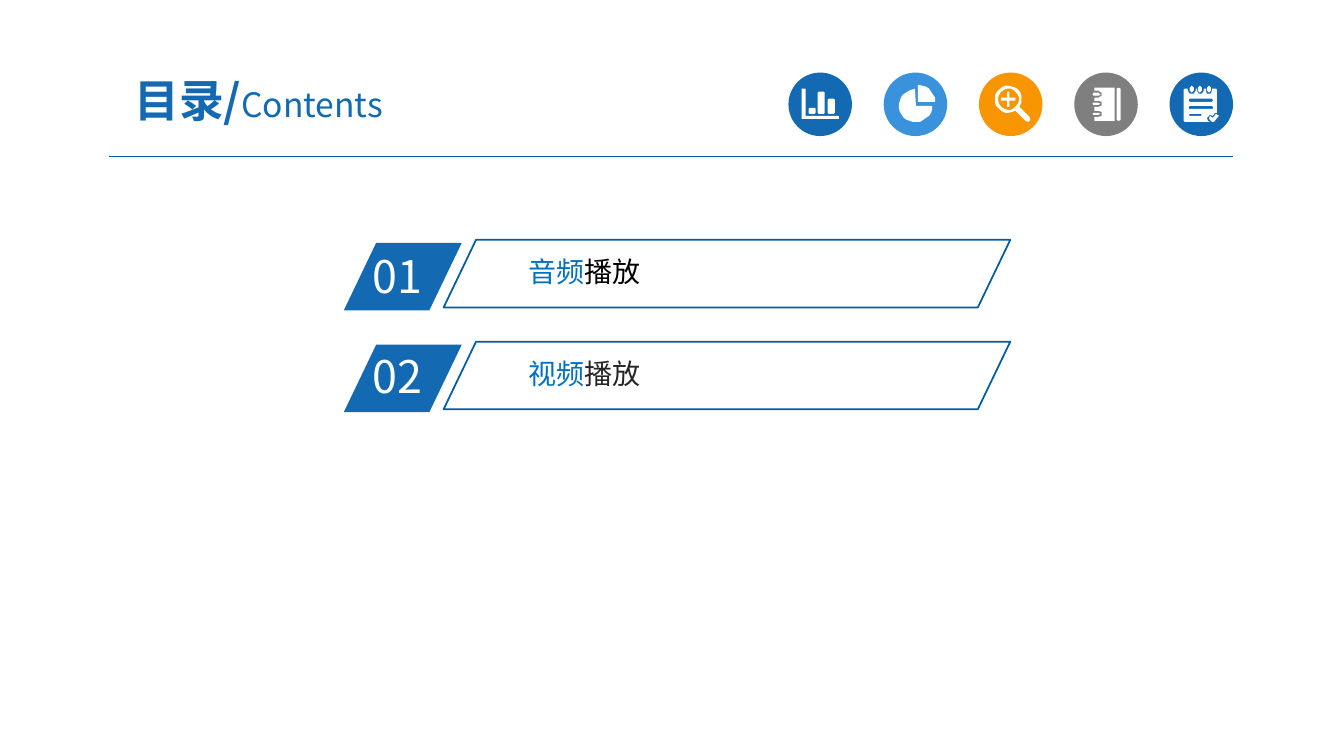
"""Build the contents slide with its icon header and two numbered entries."""
import math
from dataclasses import dataclass

import lxml.etree
import pptx
import pptx.dml.color
import pptx.enum.shapes
import pptx.enum.text
import pptx.oxml.ns
import pptx.shapes.autoshape
import pptx.slide
import pptx.text.text
import pptx.util

Inches = pptx.util.Inches
Shapes = pptx.enum.shapes.MSO_SHAPE
Anchor = pptx.enum.text.MSO_ANCHOR
Align = pptx.enum.text.PP_ALIGN
Contour = list[tuple[float, float]]


@dataclass(frozen=True)
class Theme:
    font: str = "Noto Sans CJK SC"
    blue: str = "1369B2"
    sky: str = "3992DB"
    orange: str = "F79600"
    grey: str = "7F7F7F"
    white: str = "FFFFFF"
    black: str = "000000"
    charcoal: str = "262626"
    accent: str = "0070C0"
    outline: str = "005DA2"
    rule: str = "005B9E"
    large: int = 32
    medium: int = 24
    small: int = 20


@dataclass(frozen=True)
class Span:
    text: str
    size: int
    color: str
    bold: bool = False


@dataclass(frozen=True)
class Icon:
    color: str
    contours: list[Contour]


@dataclass(frozen=True)
class Entry:
    number: str
    topic: str
    action_color: str
    top: float
    number_top: float
    label_top: float
    label_width: float


THEME = Theme()
ICON_LEFT, ICON_TOP, ICON_PITCH, ICON_SIZE = 7.82, 0.72, 0.945, 0.63
ENTRIES = [
    Entry("01", "音频", THEME.black, 2.38, 2.42, 2.48, 4.12),
    Entry("02", "视频", THEME.charcoal, 3.39, 3.41, 3.5, 4.57),
]


def arc(x: float, y: float, radius: float, start: float, end: float) -> Contour:
    steps = max(1, round(radius * abs(end - start) / 200))
    angles = [math.radians(start + (end - start) * step / steps) for step in range(steps + 1)]
    return [(x + radius * math.cos(angle), y + radius * math.sin(angle)) for angle in angles]


def bar(left: float, top: float, width: float, height: float, radius: float = 1) -> Contour:
    right, bottom = left + width - radius, top + height - radius
    left, top = left + radius, top + radius
    corners = [(left, top, 180), (right, top, 270), (right, bottom, 0), (left, bottom, 90)]
    return [point for x, y, start in corners for point in arc(x, y, radius, start, start + 90)]


def chart_icon() -> list[Contour]:
    axes = [(13, 16), (17, 16), (17, 43), (50, 43), (50, 46), (13, 46)]
    return [axes, bar(20, 35, 7, 6), bar(29, 19, 7, 22), bar(39, 26, 7, 15)]


def pie_icon() -> list[Contour]:
    return [
        [(34.5, 29), *arc(34.5, 29, 16.5, -90, 0)],
        [(31.5, 33), *arc(31.5, 33, 16.5, 0, 270)],
    ]


def search_icon() -> list[Contour]:
    x, y, long, thin = 29, 26.5, 7.5, 1.5
    steps = [(-thin, -long), (thin, -long), (thin, -thin), (long, -thin), (long, thin), (thin, thin)]
    half = [(x + dx, y + dy) for dx, dy in steps]
    plus = half + [(2 * x - px, 2 * y - py) for px, py in half]
    outer = arc(x, y, 13.5, 59, 392) + arc(48, 46, 3, -45, 135)
    return [outer, arc(x, y, 10.5, 0, 360), plus]


def notebook_icon() -> list[Contour]:
    rings = [41, 31, 21.5]
    cover: Contour = [(20.5, 15), (40.5, 15), (40.5, 48), (20.5, 48)]
    for y in rings:
        cover += [(20.5, y + 3.5), *arc(23.5, y, 3.5, 90, -90), (20.5, y - 3.5)]
    return [cover, bar(42.5, 15, 3, 33), *(bar(17.5, y - 1.5, 8, 3, 1.5) for y in rings)]


def checklist_icon() -> list[Contour]:
    rings = [22, 30.5, 39]
    page: Contour = [(14, 17), (15, 16)]
    for x in rings:
        page += [(x - 3.5, 16), *arc(x, 17.5, 3.5, 180, 0), (x + 3.5, 16)]
    page += [(46, 16), (47, 17), (47, 40), (45, 40), (43, 43), (40, 42)]
    page += [(37, 45), (38, 48), (40, 49), (15, 49), (14, 48)]
    tick = [(48, 44), (44, 49), (42, 49), (39, 46), (40, 43), (43, 45), (46, 41), (49, 43)]
    lines = [bar(19, 26, 24, 3), bar(19, 33, 24, 3.5), bar(19, 41, 13, 2)]
    return [page, tick, *lines, *(bar(x - 2, 13, 4, 7, 2) for x in rings)]


def rgb(color: str) -> pptx.dml.color.RGBColor:
    return pptx.dml.color.RGBColor.from_string(color)


def place(shape: pptx.shapes.autoshape.Shape, left: float, top: float, width: float, height: float) -> None:
    shape.left, shape.top = Inches(left), Inches(top)
    shape.width, shape.height = Inches(width), Inches(height)


def paint(shape: pptx.shapes.autoshape.Shape, color: str) -> None:
    shape.shadow.inherit = False
    shape.fill.solid()
    shape.fill.fore_color.rgb = rgb(color)
    shape.line.fill.background()


def write(frame: pptx.text.text.TextFrame, spans: list[Span], inset: tuple[float, float],
          anchor: Anchor = Anchor.TOP, align: Align = Align.LEFT, before: float = 0) -> None:
    frame.word_wrap = True
    frame.vertical_anchor = anchor
    frame.margin_left = frame.margin_right = Inches(inset[0])
    frame.margin_top = frame.margin_bottom = Inches(inset[1])
    para = frame.paragraphs[0]
    para.alignment, para.space_before = align, pptx.util.Pt(before)
    for span in spans:
        run = para.add_run()
        run.text = span.text
        run.font.name, run.font.size, run.font.bold = THEME.font, pptx.util.Pt(span.size), span.bold
        run.font.color.rgb = rgb(span.color)
        east = lxml.etree.SubElement(run.font._element, pptx.oxml.ns.qn("a:ea"))
        east.set("typeface", THEME.font)


def draw_icon(page: pptx.slide.Slide, icon: Icon, left: float) -> None:
    size = Inches(ICON_SIZE)
    disc = page.shapes.add_shape(Shapes.OVAL, Inches(left), Inches(ICON_TOP), size, size)
    paint(disc, icon.color)
    first, *others = icon.contours
    builder = page.shapes.build_freeform(*first[0], scale=Inches(0.01))
    builder.add_line_segments(first[1:])
    for contour in others:
        builder.move_to(*contour[0])
        builder.add_line_segments(contour[1:])
    paint(builder.convert_to_shape(Inches(left), Inches(ICON_TOP)), THEME.white)


def add_slant(page: pptx.slide.Slide, left: float, top: float, width: float) -> pptx.shapes.autoshape.Shape:
    slant = page.shapes.add_shape(
        Shapes.PARALLELOGRAM, Inches(left), Inches(top), Inches(width), Inches(0.67))
    slant.adjustments[0] = 0.48
    slant.shadow.inherit = False
    return slant


def draw_entry(page: pptx.slide.Slide, entry: Entry, label: pptx.shapes.autoshape.Shape) -> None:
    paint(add_slant(page, 3.41, entry.top + 0.03, 1.17), THEME.blue)
    box = page.shapes.add_textbox(Inches(3.6), Inches(entry.number_top), Inches(1.12), Inches(0.64))
    write(box.text_frame, [Span(entry.number, THEME.large, THEME.white)], (0.1, 0.05))
    place(label, 5.17, entry.label_top, entry.label_width, 0.41)
    label.text_frame.auto_size = pptx.enum.text.MSO_AUTO_SIZE.SHAPE_TO_FIT_TEXT
    write(label.text_frame, [Span(entry.topic, THEME.small, THEME.accent),
                             Span("播放", THEME.small, entry.action_color)], (0.07, 0.04))
    properties = label.text_frame.paragraphs[0]._p.get_or_add_pPr()
    properties.set("marL", "0")
    properties.set("indent", "0")
    lxml.etree.SubElement(properties, pptx.oxml.ns.qn("a:buNone"))
    frame = add_slant(page, 4.4, entry.top, 5.62)
    frame.fill.background()
    frame.line.color.rgb, frame.line.width = rgb(THEME.outline), pptx.util.Pt(1.25)


def main() -> None:
    deck = pptx.Presentation()
    deck.slide_width, deck.slide_height = Inches(13.33), Inches(7.5)
    page = deck.slides.add_slide(deck.slide_layouts.get_by_name("Two Content"))
    title, *labels = page.placeholders
    place(title, 0.92, 0.63, 3.29, 0.72)
    write(title.text_frame, [Span("目录/", THEME.large, THEME.blue, True),
                             Span("Contents", THEME.medium, THEME.blue)],
          (0.13, 0.07), Anchor.MIDDLE, Align.CENTER, 6.4)
    rule = page.shapes.add_connector(pptx.enum.shapes.MSO_CONNECTOR.STRAIGHT,
                                     Inches(1.08), Inches(1.55), Inches(12.23), Inches(1.55))
    rule.line.color.rgb, rule.line.width = rgb(THEME.rule), pptx.util.Pt(0.75)
    lxml.etree.SubElement(rule._element.spPr, pptx.oxml.ns.qn("a:effectLst"))
    icons = [Icon(THEME.blue, chart_icon()), Icon(THEME.sky, pie_icon()),
             Icon(THEME.orange, search_icon()), Icon(THEME.grey, notebook_icon()),
             Icon(THEME.blue, checklist_icon())]
    for index, icon in enumerate(icons):
        draw_icon(page, icon, ICON_LEFT + index * ICON_PITCH)
    for entry, label in zip(ENTRIES, labels):
        draw_entry(page, entry, label)
    deck.save("out.pptx")


if __name__ == "__main__":
    main()
